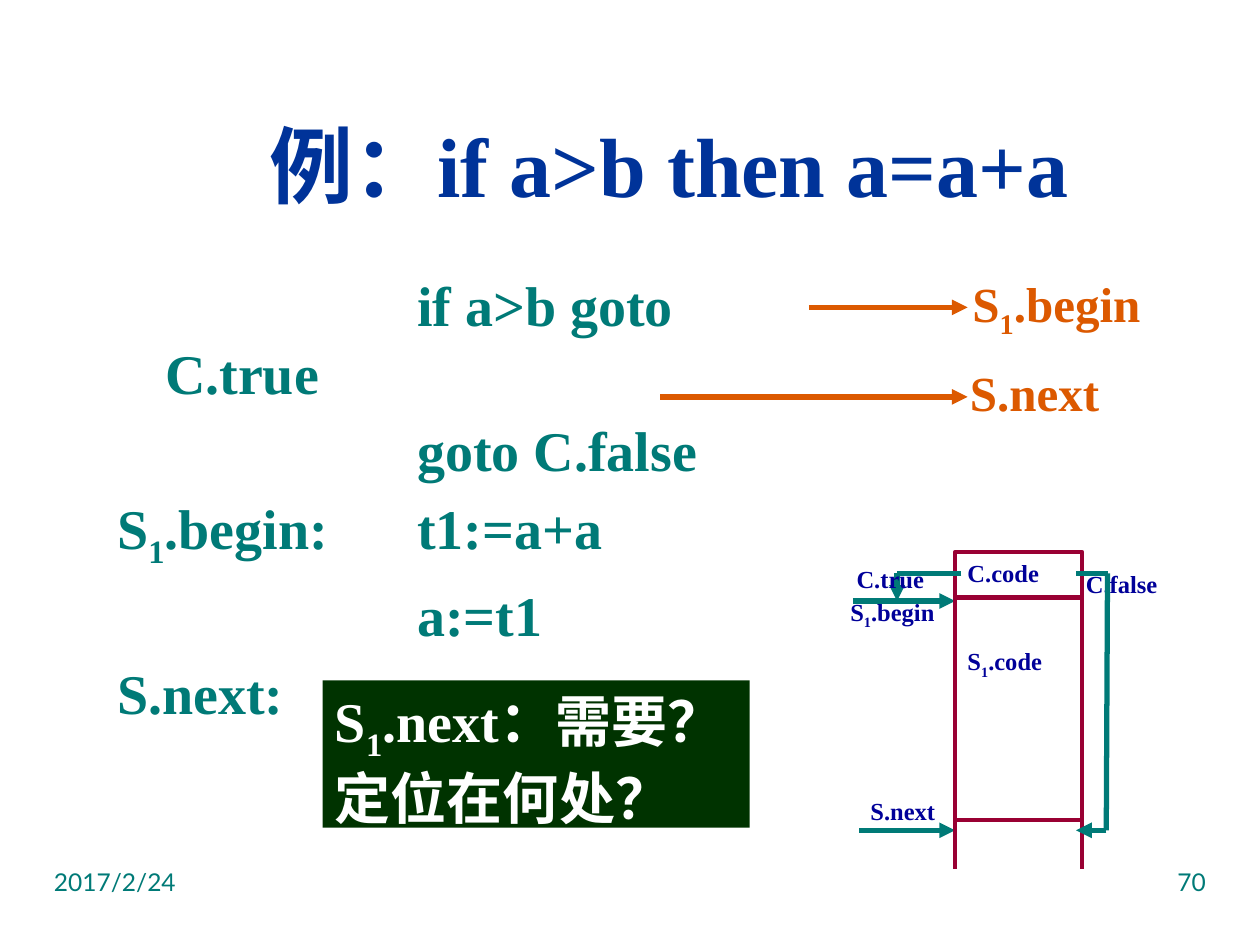
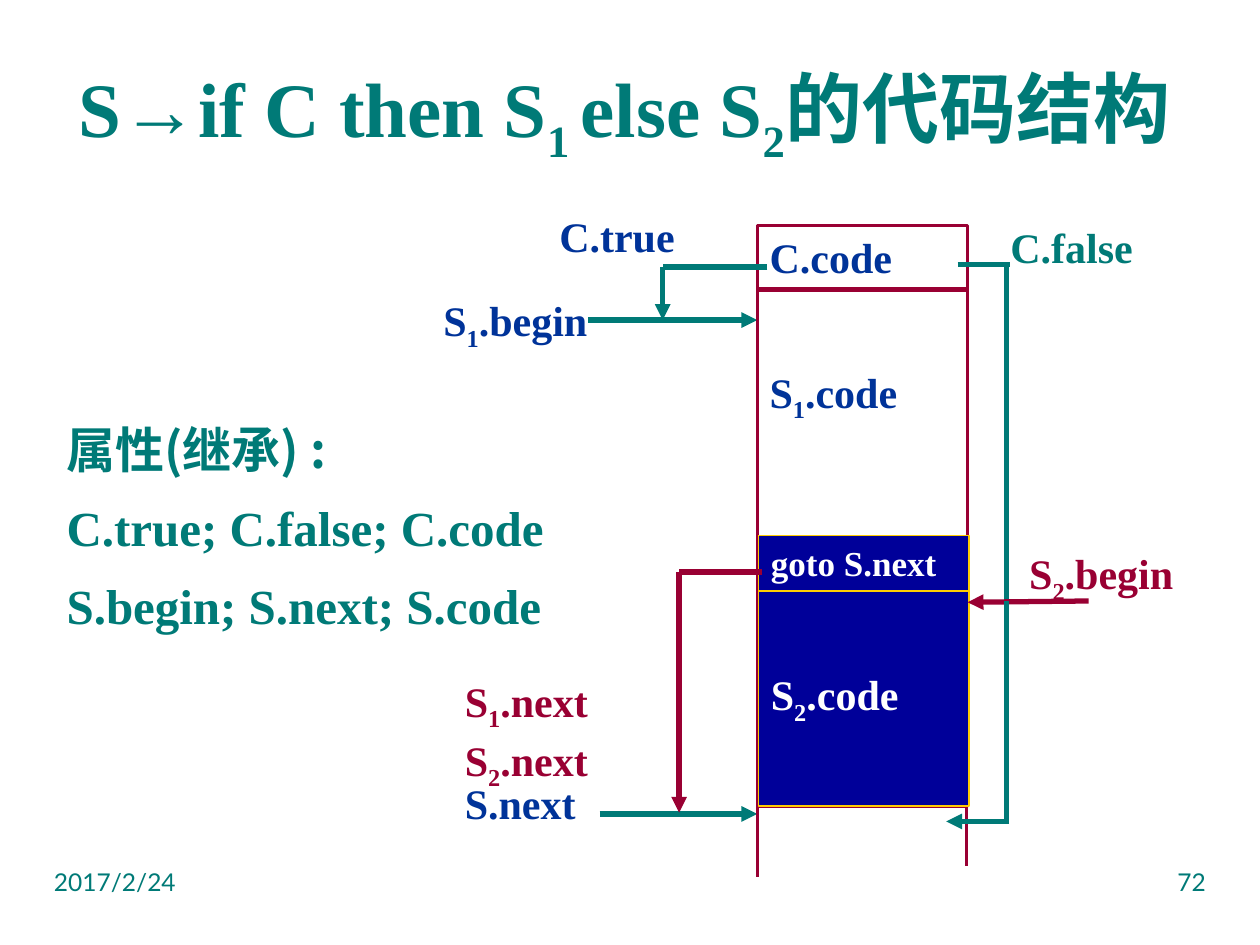
from dataclasses import dataclass
from itertools import pairwise

from pptx import Presentation
from pptx.dml.color import RGBColor
from pptx.enum.shapes import MSO_CONNECTOR, MSO_SHAPE
from pptx.enum.text import MSO_ANCHOR, MSO_AUTO_SIZE, PP_ALIGN
from pptx.oxml.ns import qn
from pptx.util import Inches, Pt
from lxml import etree

LEFT, CENTER, RIGHT = PP_ALIGN.LEFT, PP_ALIGN.CENTER, PP_ALIGN.RIGHT
TOP, MIDDLE = MSO_ANCHOR.TOP, MSO_ANCHOR.MIDDLE
RECT, STRAIGHT = MSO_SHAPE.RECTANGLE, MSO_CONNECTOR.STRAIGHT

COLORS = {
    "teal": "007A77", "blue": "003399", "navy": "000099", "orange": "DC5900",
    "wine": "990033", "gold": "FFCC00", "forest": "003300", "white": "FFFFFF",
}
SERIF, SANS, CJK = "Times New Roman", "Lato", "Noto Sans CJK JP"
TITLE_LAYOUTS = {"list": 1, "title": 5}


# Parts of a diagram; in texts, the pieces between bars are subscripts
@dataclass
class Label:
    text: str
    x: float
    y: float
    w: float
    h: float
    size: float
    color: str


@dataclass
class Box:
    text: str
    x: float
    y: float
    w: float
    h: float
    size: float
    color: str
    line: str | None = "wine"
    weight: float = 1.5
    fill: str | None = None
    lowered: bool = False  # text starts one spaced line further down


@dataclass
class Route:
    points: list[tuple[float, float]]
    color: str = "teal"
    weight: float = 3
    arrow: bool = True


# Shared drawing functions
def rgb(name: str) -> RGBColor:
    return RGBColor.from_string(COLORS[name])


def add_text(p, text: str, size: float, color: str, font: str = SERIF,
             bold: bool = True) -> None:
    style = {"name": font, "size": Pt(size), "bold": bold}
    for i, piece in enumerate(text.split("|")):
        r = p.add_run()
        r.text = piece
        for key, value in style.items():
            setattr(r.font, key, value)
        r.font.color.rgb = rgb(color)
        rpr = r._r.get_or_add_rPr()
        etree.SubElement(rpr, qn("a:ea")).set("typeface", CJK)
        if i % 2:
            rpr.set("baseline", "-25000")


def set_frame(sp, wrap: bool = True, anchor=TOP):
    tf = sp.text_frame
    frame = {"word_wrap": wrap, "auto_size": MSO_AUTO_SIZE.NONE,
             "vertical_anchor": anchor}
    for key, value in frame.items():
        setattr(tf, key, value)
    return tf


def place(sp, x: float, y: float, w: float, h: float) -> None:
    sp.left, sp.top, sp.width, sp.height = map(Inches, (x, y, w, h))


def add_box(slide, box: Box) -> None:
    sp = slide.shapes.add_shape(
        RECT, *map(Inches, (box.x, box.y, box.w, box.h)))
    sp.shadow.inherit = False
    if box.fill:
        sp.fill.solid()
        sp.fill.fore_color.rgb = rgb(box.fill)
    else:
        sp.fill.background()
    if box.line:
        sp.line.color.rgb = rgb(box.line)
        sp.line.width = Pt(box.weight)
    else:
        sp.line.fill.background()
    tf = set_frame(sp)
    tf.margin_right = Inches(0.15)
    if box.lowered:
        tf.margin_top = Inches(0.05) + Pt(1.7 * box.size)
    p = tf.paragraphs[0]
    p.alignment = LEFT
    add_text(p, box.text, box.size, box.color)


def add_label(slide, label: Label) -> None:
    sp = slide.shapes.add_textbox(
        *map(Inches, (label.x, label.y, label.w, label.h)))
    p = set_frame(sp, wrap=False).paragraphs[0]
    add_text(p, label.text, label.size, label.color)


def add_route(slide, route: Route) -> None:
    for start, end in pairwise(route.points):
        sp = slide.shapes.add_connector(STRAIGHT, *map(Inches, start + end))
        sp.line.color.rgb = rgb(route.color)
        sp.line.width = Pt(route.weight)
        if route.arrow and end == route.points[-1]:
            ln = sp.line._get_or_add_ln()
            etree.SubElement(ln, qn("a:tailEnd")).set("type", "triangle")
        etree.SubElement(sp._element.spPr, qn("a:effectLst"))


DRAW = {Box: add_box, Label: add_label, Route: add_route}


def draw(slide, parts: list[Box | Label | Route]) -> None:
    for part in parts:
        DRAW[type(part)](slide, part)


def add_slide(prs, layout: str, title: str, at: tuple[float, ...],
              size: float, color: str, number: str):
    slide = prs.slides.add_slide(prs.slide_layouts[TITLE_LAYOUTS[layout]])
    sp = slide.shapes.title
    place(sp, *at)
    p = set_frame(sp, anchor=MIDDLE).paragraphs[0]
    p.alignment = CENTER
    add_text(p, title, size, color)
    # Footer: date and slide number
    for text, x, align in (("2017/2/24", 0.33, LEFT), (number, 7.17, RIGHT)):
        sp = slide.shapes.add_textbox(
            *map(Inches, (x, 6.83, 2.5, 0.52)))
        p = set_frame(sp).paragraphs[0]
        p.alignment = align
        add_text(p, text, 14, "teal", SANS, bold=False)
    return slide


# Slide 1: code for an if-then example
def build_example(prs) -> None:
    slide = add_slide(prs, "list", "例：if a>b then a=a+a",
                      (0.9, 0.6, 8.82, 1.4), 48, "blue", "70")
    body = slide.placeholders[1]
    place(body, 0.83, 2.1, 5.59, 3.27)
    tf = set_frame(body)
    code = ["\t\t\tif a>b goto C.true", "\t\t\tgoto C.false",
            "S|1|.begin: \tt1:=a+a", "\t\t\ta:=t1", "S.next:"]
    indents = {"marL": 0.38, "indent": -0.38, "defTabSz": 1}
    for i, text in enumerate(code):
        p = tf.add_paragraph() if i else tf.paragraphs[0]
        p.space_before = Pt(6 if i else 0)
        ppr = p._p.get_or_add_pPr()
        for key, value in indents.items():
            ppr.set(key, str(Inches(value)))
        etree.SubElement(ppr, qn("a:buNone"))
        add_text(p, text, 32, "teal")

    left, right, bottom = 7.58, 8.59, 6.51
    width = right - left
    draw(slide, [
        # Jump targets
        Label("S|1|.begin", 7.62, 2.12, 1.56, 0.57, 28, "orange"),
        Route([(6.42, 2.44), (7.68, 2.44)], "orange"),
        Label("S.next", 7.6, 2.83, 1.23, 0.57, 28, "orange"),
        Route([(5.24, 3.15), (7.68, 3.15)], "orange"),
        # Code layout
        Box("C.code", left, 4.38, width, 0.36, 14, "navy", weight=2.25),
        Route([(7.63, 4.55), (7.12, 4.55), (7.12, 4.77)]),
        Route([(6.77, 4.77), (left, 4.77)]),
        Label("S|1|.begin", 6.65, 4.69, 0.87, 0.33, 14, "navy"),
        Label("C.true", 6.7, 4.43, 0.74, 0.33, 14, "navy"),
        Label("S.next", 6.81, 6.27, 0.71, 0.33, 14, "navy"),
        Route([(6.82, 6.59), (left, 6.59)]),
        Box("S|1|.code", left, 4.75, width, 1.76, 14, "navy", weight=2.25,
            lowered=True),
        *(Route([(x, bottom), (x, 6.9)], "wine", 2.25, arrow=False)
          for x in (right, left)),
        Label("C.false", 8.52, 4.47, 0.77, 0.33, 14, "navy"),
        Route([(8.54, 4.55), (8.79, 4.55), (8.78, 6.59), (8.54, 6.59)]),
        # Question
        Box("S|1|.next：需要？定位在何处？", 2.56, 5.4, 3.39, 1.17, 32,
            "white", line=None, fill="forest"),
    ])


# Slide 2: code layout of if-then-else
def build_structure(prs) -> None:
    slide = add_slide(prs, "title", "S→if C then S|1 |else S|2|的代码结构",
                      (0.27, 0.44, 9.37, 0.92), 44, "teal", "72")
    sp = slide.shapes.add_textbox(
        *map(Inches, (0.43, 3.28, 4.09, 1.88)))
    tf = set_frame(sp)
    attributes = [("属性(继承) :", CJK), ("C.true; C.false; C.code", SERIF),
                  ("S.begin; S.next; S.code", SERIF)]
    for i, (text, font) in enumerate(attributes):
        p = tf.add_paragraph() if i else tf.paragraphs[0]
        p.space_before = Pt(11 if i else 0)
        add_text(p, text, 28, "teal", font)

    left, width = 6.01, 1.67
    navy_box = {"line": "gold", "weight": 1, "fill": "navy"}
    draw(slide, [
        # Condition and first branch
        Box("C.code", left, 1.79, width, 0.52, 24, "blue"),
        Route([(6.09, 2.12), (5.26, 2.12), (5.26, 2.54)]),
        Route([(4.67, 2.54), (left, 2.54)]),
        Label("S|1|.begin", 3.42, 2.29, 1.36, 0.5, 24, "blue"),
        Label("C.true", 4.34, 1.62, 1.12, 0.5, 24, "blue"),
        Label("S.next", 3.59, 6.12, 1.08, 0.5, 24, "blue"),
        Route([(4.76, 6.46), (left, 6.46)]),
        Box("S|1|.code", left, 2.29, width, 4.11, 24, "blue", lowered=True),
        Route([(7.67, 6.12), (7.67, 6.87)], "wine", 1.5, arrow=False),
        Route([(left, 6.21), (left, 6.96)], "wine", 1.5, arrow=False),
        # Jump to the second branch
        Label("C.false", 7.92, 1.71, 1.17, 0.5, 24, "teal"),
        Route([(7.6, 2.1), (8.02, 2.1)], arrow=False),
        Route([(7.99, 2.1), (7.99, 4.77)], arrow=False),
        Route([(8.01, 6.52), (7.51, 6.52)]),
        Label("S|2|.begin", 8.07, 4.3, 1.36, 0.5, 24, "wine"),
        Label("S|2|.next", 3.59, 5.78, 1.19, 0.5, 24, "wine"),
        Label("S|1|.next", 3.59, 5.31, 1.19, 0.5, 24, "wine"),
        # Second branch
        Box("goto S.next", 6.02, 4.25, width, 0.45, 20, "white", **navy_box),
        Box("S|2|.code", 6.02, 4.69, width, 1.71, 24, "white", **navy_box,
            lowered=True),
        Route([(5.39, 4.54), (5.39, 6.45)], "wine"),
        Route([(5.39, 4.54), (6.05, 4.54)], "wine", arrow=False),
        Route([(8.64, 4.77), (7.68, 4.78)], "wine"),
        Route([(7.99, 4.77), (7.99, 6.51)], arrow=False),
    ])


def main() -> None:
    prs = Presentation()
    prs.slide_width, prs.slide_height = Inches(10), Inches(7.5)
    build_example(prs)
    build_structure(prs)
    prs.save("out.pptx")


if __name__ == "__main__":
    main()
